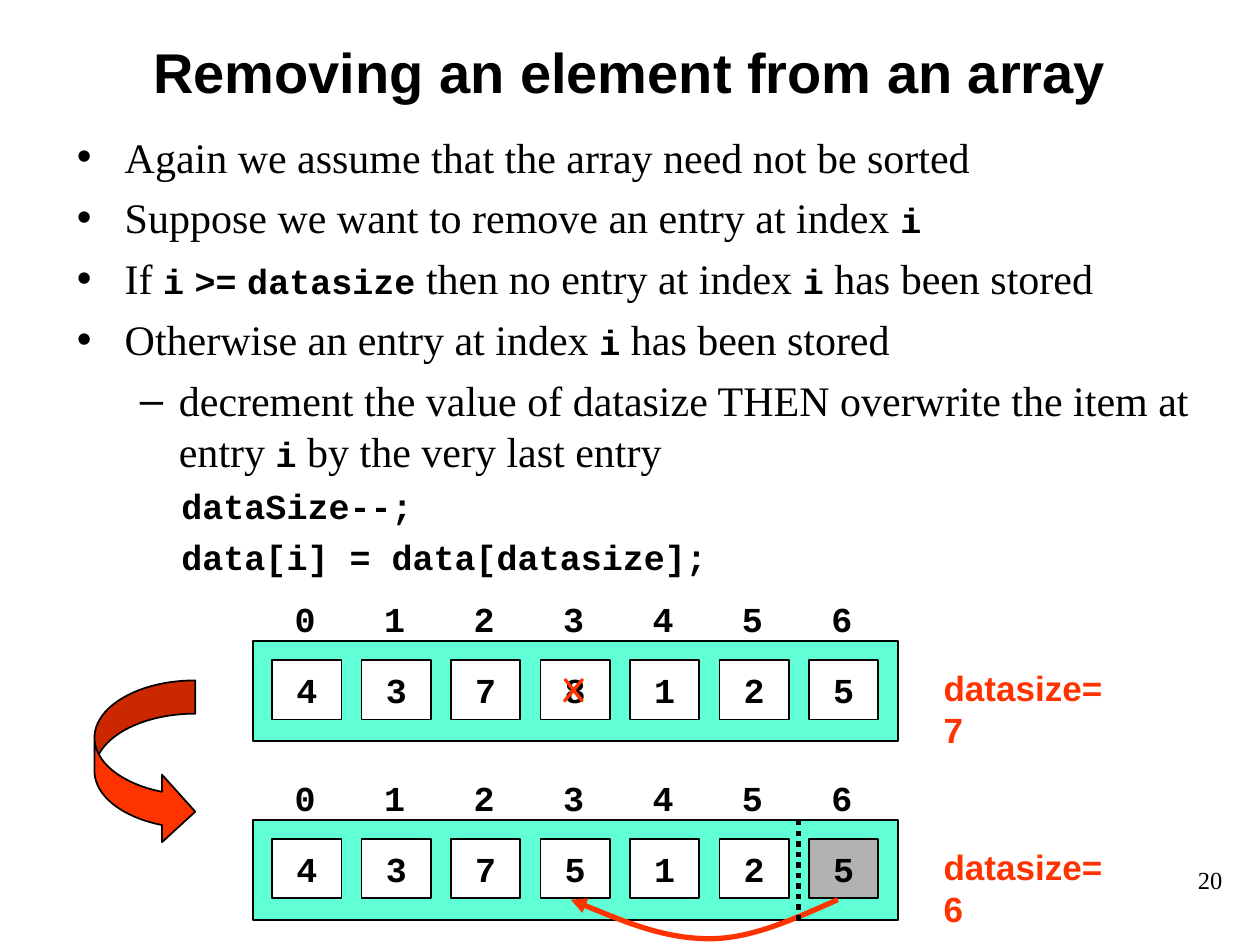
from lxml import etree
from pptx import Presentation
from pptx.dml.color import RGBColor
from pptx.enum.dml import MSO_LINE
from pptx.enum.shapes import MSO_CONNECTOR, MSO_SHAPE
from pptx.enum.text import MSO_ANCHOR, MSO_AUTO_SIZE, PP_ALIGN
from pptx.oxml.ns import qn
from pptx.util import Inches, Pt

RECTANGLE, CURVED_ARROW = MSO_SHAPE.RECTANGLE, MSO_SHAPE.CURVED_RIGHT_ARROW
STRAIGHT = MSO_CONNECTOR.STRAIGHT
DOTTED = MSO_LINE.ROUND_DOT
TOP, MIDDLE = MSO_ANCHOR.TOP, MSO_ANCHOR.MIDDLE
LEFT, CENTER, RIGHT = PP_ALIGN.LEFT, PP_ALIGN.CENTER, PP_ALIGN.RIGHT
NO_AUTOFIT = MSO_AUTO_SIZE.NONE

COLORS = {"ink": "000000", "paper": "FFFFFF", "array": "61FFD6",
          "unused": "B2B2B2", "accent": "FF3300"}
SANS, SERIF, MONO, HAND = "Arial", "Times New Roman", "Courier New", "Comic Neue"
PROSE = {"font": SERIF, "size": 24}
CODE = {"font": MONO, "size": 20, "bold": True}
GAP = {"font": MONO, "size": 10}

CELL_PITCH = 0.71
CELL_WIDTH, CELL_HEIGHT = 0.55, 0.47
CELL_INSET = 0.15

BULLETS = [
    [("Again we assume that the array need not be sorted", PROSE)],
    [("Suppose we want to remove an entry at index ", PROSE), ("i", CODE)],
    [("If ", PROSE), ("i", CODE), (" ", GAP), (">=", CODE), (" ", GAP),
     ("datasize", CODE), (" then no entry at index ", PROSE), ("i", CODE),
     (" has been stored", PROSE)],
    [("Otherwise an entry at index ", PROSE), ("i", CODE),
     (" has been stored", PROSE)],
]
SUB_BULLET = [
    ("decrement the value of datasize THEN overwrite the item at entry ", PROSE),
    ("i", CODE), (" by the very last entry", PROSE),
]
CODE_LINES = ["dataSize--;", "data[i] = data[datasize];"]


def color(name):
    return RGBColor.from_string(COLORS[name])


def add_span(para, text, font=SERIF, size=20, bold=False, ink="ink"):
    span = para.add_run()
    span.text = text
    span.font.name = font
    span.font.size = Pt(size)
    span.font.bold = bold
    span.font.color.rgb = color(ink)


def place(shape, left, top, width, height):
    shape.left, shape.top = Inches(left), Inches(top)
    shape.width, shape.height = Inches(width), Inches(height)


def add_label(page, box, text, align=LEFT, wrap=True, **style):
    label = page.shapes.add_textbox(*map(Inches, box))
    label.text_frame.word_wrap = wrap
    para = label.text_frame.paragraphs[0]
    para.alignment = align
    add_span(para, text, **style)
    return para


def add_filled(page, kind, box, fill):
    shape = page.shapes.add_shape(kind, *map(Inches, box))
    shape.shadow.inherit = False
    shape.fill.solid()
    shape.fill.fore_color.rgb = color(fill)
    shape.line.color.rgb = color("ink")
    shape.line.width = Pt(1)
    return shape


def add_title(page, box, text):
    title = page.shapes.title
    place(title, *box)
    frame = title.text_frame
    frame.auto_size = NO_AUTOFIT
    frame.vertical_anchor = MIDDLE
    para = frame.paragraphs[0]
    para.alignment = CENTER
    add_span(para, text, font=SANS, size=32, bold=True)


def add_body(page, box):
    body = page.placeholders[1]
    place(body, *box)
    frame = body.text_frame
    frame.auto_size = NO_AUTOFIT
    frame.vertical_anchor = TOP
    rows = [(spans, 0, 0.38, -0.38, 6) for spans in BULLETS]
    rows.append((SUB_BULLET, 1, 0.81, -0.31, 6))
    rows += [([(line, CODE)], 0, 0.83, 0, 5) for line in CODE_LINES]
    for number, (spans, level, margin, indent, before) in enumerate(rows):
        para = frame.add_paragraph() if number else frame.paragraphs[0]
        para.level = level
        para.space_before = Pt(before)
        props = para._p.get_or_add_pPr()
        props.set("marL", str(Inches(margin)))
        props.set("indent", str(Inches(indent)))
        if not indent:
            etree.SubElement(props, qn("a:buNone"))
        for text, style in spans:
            add_span(para, text, **style)


def add_index_row(page, box, count):
    """Number the cells, one tab stop for each cell after the first."""
    para = add_label(page, box, "\t".join(map(str, range(count))), **CODE)
    tabs = etree.SubElement(para._p.get_or_add_pPr(), qn("a:tabLst"))
    for index in range(1, count):
        etree.SubElement(tabs, qn("a:tab"), pos=str(Inches(index * CELL_PITCH)),
                         algn="l")


def add_array(page, box, values, size):
    """Draw an array whose cells from index size on are out of use."""
    left, top, width, height = box
    add_filled(page, RECTANGLE, box, "array")
    add_index_row(page, (left + 0.23, top - 0.4, width - 0.47, 0.44), len(values))
    for index, value in enumerate(values):
        cell_box = (left + CELL_INSET + index * CELL_PITCH, top + CELL_INSET,
                    CELL_WIDTH, CELL_HEIGHT)
        cell = add_filled(page, RECTANGLE, cell_box,
                          "paper" if index < size else "unused")
        frame = cell.text_frame
        frame.vertical_anchor = MIDDLE
        frame.margin_left = frame.margin_right = 0
        para = frame.paragraphs[0]
        para.alignment = CENTER
        add_span(para, str(value), **CODE)
    add_label(page, (left + width + 0.26, top + CELL_INSET, 1.61, 0.44),
              f"datasize={size}", wrap=False, font=SANS, bold=True, ink="accent")


def add_step_arrow(page, box):
    arrow = add_filled(page, CURVED_ARROW, box, "accent")
    for number, share in enumerate((0.33, 0.67, 0.33)):
        arrow.adjustments[number] = share


def add_divider(page, x, top, bottom):
    line = page.shapes.add_connector(STRAIGHT, *map(Inches, (x, top, x, bottom)))
    line.line.color.rgb = color("ink")
    line.line.width = Pt(3)
    line.line.dash_style = DOTTED
    etree.SubElement(line._element.spPr, qn("a:effectLst"))


def add_move_arrow(page, box):
    """Draw a sagging curve across the box, with its arrowhead at the left."""
    left, top, width, height = box
    shares = [(0.17, 0.48), (0.35, 1), (0.52, 1), (0.68, 1), (0.84, 0.48), (1, 0)]
    points = [(Inches(left + width * across), Inches(top + height * down))
              for across, down in shares]
    builder = page.shapes.build_freeform(Inches(left), Inches(top))
    builder.add_line_segments(points, close=False)
    curve = builder.convert_to_shape()
    curve.shadow.inherit = False
    curve.fill.background()
    curve.line.color.rgb = color("accent")
    curve.line.width = Pt(3)
    etree.SubElement(curve.line._get_or_add_ln(), qn("a:headEnd"), type="triangle")
    segments = list(curve._element.iter(qn("a:lnTo")))
    outline = segments[0].getparent()
    for start in range(0, len(segments), 3):
        bezier = etree.SubElement(outline, qn("a:cubicBezTo"))
        for segment in segments[start:start + 3]:
            bezier.append(segment[0])
            outline.remove(segment)


def main():
    deck = Presentation()
    deck.slide_width, deck.slide_height = Inches(10), Inches(7.5)
    page = deck.slides.add_slide(deck.slide_layouts[1])
    add_title(page, (0.75, 0.21, 8.5, 0.71), "Removing an element from an array")
    add_body(page, (0.51, 0.99, 9.06, 5.75))
    add_label(page, (8.39, 6.82, 1.41, 0.5), "20", align=RIGHT, size=14)
    add_array(page, (2.01, 5.09, 5.12, 0.79), [4, 3, 7, 8, 1, 2, 5], 7)
    add_label(page, (4.36, 5.25, 0.39, 0.44), "X", wrap=False,
              font=HAND, bold=True, ink="accent")
    add_step_arrow(page, (0.75, 5.4, 0.8, 1.31))
    add_array(page, (2.01, 6.51, 5.12, 0.79), [4, 3, 7, 5, 1, 2, 5], 6)
    add_move_arrow(page, (4.53, 7.14, 2.12, 0.31))
    add_divider(page, 6.34, 6.51, 7.3)
    deck.save("out.pptx")


if __name__ == "__main__":
    main()
